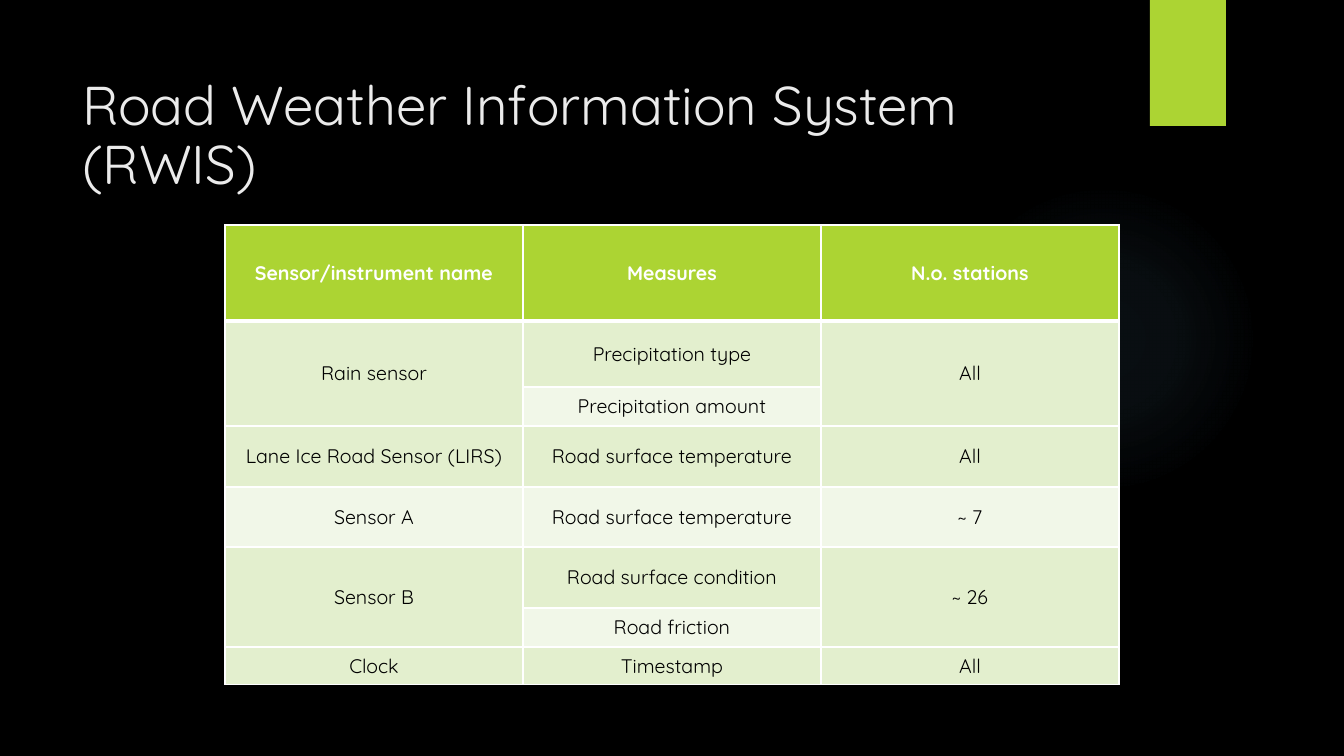
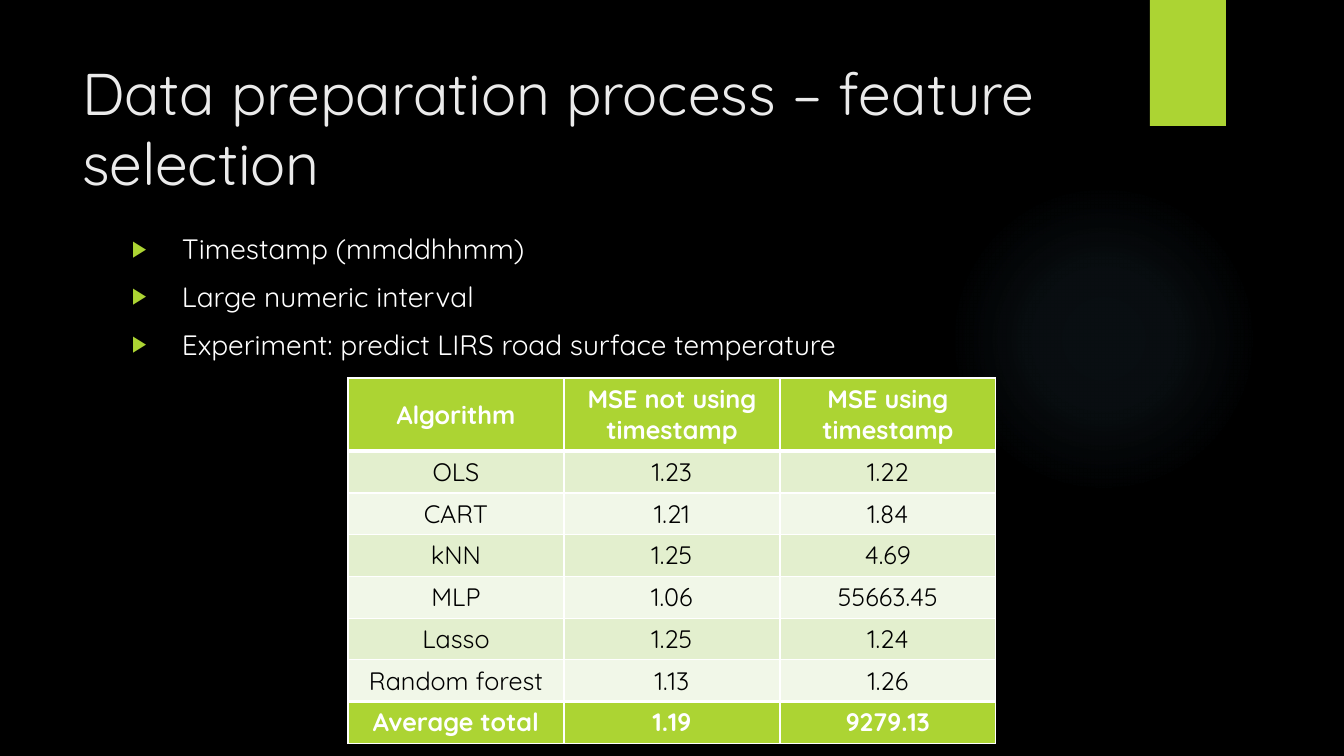
from lxml import etree
from pptx import Presentation
from pptx.dml.color import RGBColor
from pptx.enum.shapes import MSO_SHAPE
from pptx.enum.text import MSO_ANCHOR, MSO_AUTO_SIZE, PP_ALIGN
from pptx.oxml import parse_xml
from pptx.oxml.ns import nsdecls, qn
from pptx.util import Emu, Pt


class Theme:
    font = "Quicksand"
    black = RGBColor.from_string("000000")
    white = RGBColor.from_string("FFFFFF")
    title = RGBColor.from_string("EBEBEB")
    lime = RGBColor.from_string("ACD433")
    bands = (RGBColor.from_string("F1F7E8"), RGBColor.from_string("E3EFCE"))
    glow = "7AC4F0"
    body = Pt(20)
    thin, thick = Pt(1), Pt(3)


def px(*nums):
    return [Emu(round(n * 12192000 / 1344)) for n in nums]


def style(para, size, color, bold=False):
    font = para.font
    font.name, font.size, font.bold = Theme.font, size, bold
    font.color.rgb = color


deck = Presentation()
deck.slide_width, deck.slide_height = px(1344, 756)
fill = deck.slide_master.background.fill
fill.solid()
fill.fore_color.rgb = Theme.black
layout = deck.slide_layouts[5]
for hold in list(layout.placeholders):
    if hold.placeholder_format.idx:
        hold.element.getparent().remove(hold.element)

pages = [
    {
        "title": "Road Weather Information System (RWIS)",
        "box": (72, 70, 1020, 135), "size": Pt(39), "lead": 0.9,
        "at": (225, 225), "col": 298, "text": Pt(14), "total": False,
        "high": [96, 66, 39, 61, 60, 61, 39, 38],
        "rows": [
            ["Sensor/instrument name", "Measures", "N.o. stations"],
            ["Rain sensor", "Precipitation type", "All"],
            ["", "Precipitation amount", ""],
            ["Lane Ice Road Sensor (LIRS)", "Road surface temperature", "All"],
            ["Sensor A", "Road surface temperature", "~ 7"],
            ["Sensor B", "Road surface condition", "~ 26"],
            ["", "Road friction", ""],
            ["Clock", "Timestamp", "All"],
        ],
    },
    {
        "title": "Data preparation process – feature selection",
        "box": (72, 50, 1037, 154), "size": Pt(42), "lead": 1.0,
        "at": (348, 378), "col": 216, "text": Pt(18), "total": True,
        "high": [73] + [41] * 7,
        "rows": [
            ["Algorithm", "MSE not using timestamp", "MSE using timestamp"],
            ["OLS", "1.23", "1.22"],
            ["CART", "1.21", "1.84"],
            ["kNN", "1.25", "4.69"],
            ["MLP", "1.06", "55663.45"],
            ["Lasso", "1.25", "1.24"],
            ["Random forest", "1.13", "1.26"],
            ["Average total", "1.19", "9279.13"],
        ],
    },
]

for page in pages:
    slide = deck.slides.add_slide(layout)
    head = slide.shapes.title
    head.left, head.top, head.width, head.height = px(*page["box"])
    frame = head.text_frame
    frame.text = page["title"]
    frame.word_wrap = True
    frame.auto_size = MSO_AUTO_SIZE.NONE
    frame.vertical_anchor = MSO_ANCHOR.MIDDLE
    para = frame.paragraphs[0]
    para.alignment = PP_ALIGN.LEFT
    para.line_spacing = page["lead"]
    style(para, page["size"], Theme.title)

    rows, high = page["rows"], page["high"]
    last = len(rows) - 1
    spot = px(*page["at"], page["col"] * 3, sum(high))
    table = slide.shapes.add_table(len(rows), 3, *spot).table
    for col in table.columns:
        col.width = px(page["col"])[0]
    for r, row in enumerate(rows):
        table.rows[r].height = px(high[r])[0]
        strong = r == 0 or (page["total"] and r == last)
        top = r == 1 or (page["total"] and r == last)
        base = r == 0 or (page["total"] and r == last - 1)
        for c, text in enumerate(row):
            cell = table.cell(r, c)
            cell.text = text
            cell.vertical_anchor = MSO_ANCHOR.MIDDLE
            para = cell.text_frame.paragraphs[0]
            para.alignment = PP_ALIGN.CENTER
            style(para, page["text"], Theme.white if strong else Theme.black, strong)
            props = cell._tc.get_or_add_tcPr()
            for side, bold in (("L", False), ("R", False), ("T", top), ("B", base)):
                wide = Theme.thick if bold else Theme.thin
                props.append(parse_xml(
                    f'<a:ln{side} {nsdecls("a")} w="{wide}"><a:solidFill>'
                    f'<a:srgbClr val="{Theme.white}"/></a:solidFill></a:ln{side}>'))
            cell.fill.solid()
            cell.fill.fore_color.rgb = Theme.lime if strong else Theme.bands[r % 2]
            if not text:
                table.cell(r - 1, c).merge(cell)

items = [
    "Timestamp (mmddhhmm)",
    "Large numeric interval",
    "Experiment: predict LIRS road surface temperature",
]
frame = slide.shapes.add_textbox(*px(122, 227, 986, 145)).text_frame
frame.word_wrap = True
frame.text = "\n".join(items)
indent = px(50)[0]
for i, para in enumerate(frame.paragraphs):
    if i:
        para.space_before = Pt(10)
    props = para._p.get_or_add_pPr()
    props.set("marL", str(indent))
    props.set("indent", str(-indent))
    tint = etree.SubElement(props, qn("a:buClr"))
    etree.SubElement(tint, qn("a:srgbClr"), val=str(Theme.lime))
    etree.SubElement(props, qn("a:buSzPct"), val="80000")
    etree.SubElement(props, qn("a:buFont"), typeface="Arial")
    etree.SubElement(props, qn("a:buChar"), char="▶")
    style(para, Theme.body, Theme.white)

glow = slide.shapes.add_shape(MSO_SHAPE.OVAL, *px(949, 184, 310, 310))
tab = slide.shapes.add_shape(MSO_SHAPE.RECTANGLE, *px(1150, 0, 76, 126))
tab.fill.solid()
tab.fill.fore_color.rgb = Theme.lime
stops = "".join(
    f'<a:gs pos="{pos}000"><a:srgbClr val="{Theme.glow}">'
    f'<a:alpha val="{alpha}000"/></a:srgbClr></a:gs>'
    for pos, alpha in ((0, 7), (36, 6), (69, 0)))
glow.element.spPr.find(qn("a:prstGeom")).addnext(parse_xml(
    f'<a:gradFill {nsdecls("a")}><a:gsLst>{stops}</a:gsLst><a:path path="circle">'
    '<a:fillToRect l="50000" t="50000" r="50000" b="50000"/></a:path></a:gradFill>'))
for spot, shape in enumerate((glow, tab), 2):
    shape.line.fill.background()
    shape.shadow.inherit = False
    layout.shapes._spTree.insert(spot, shape.element)

deck.save("out.pptx")
